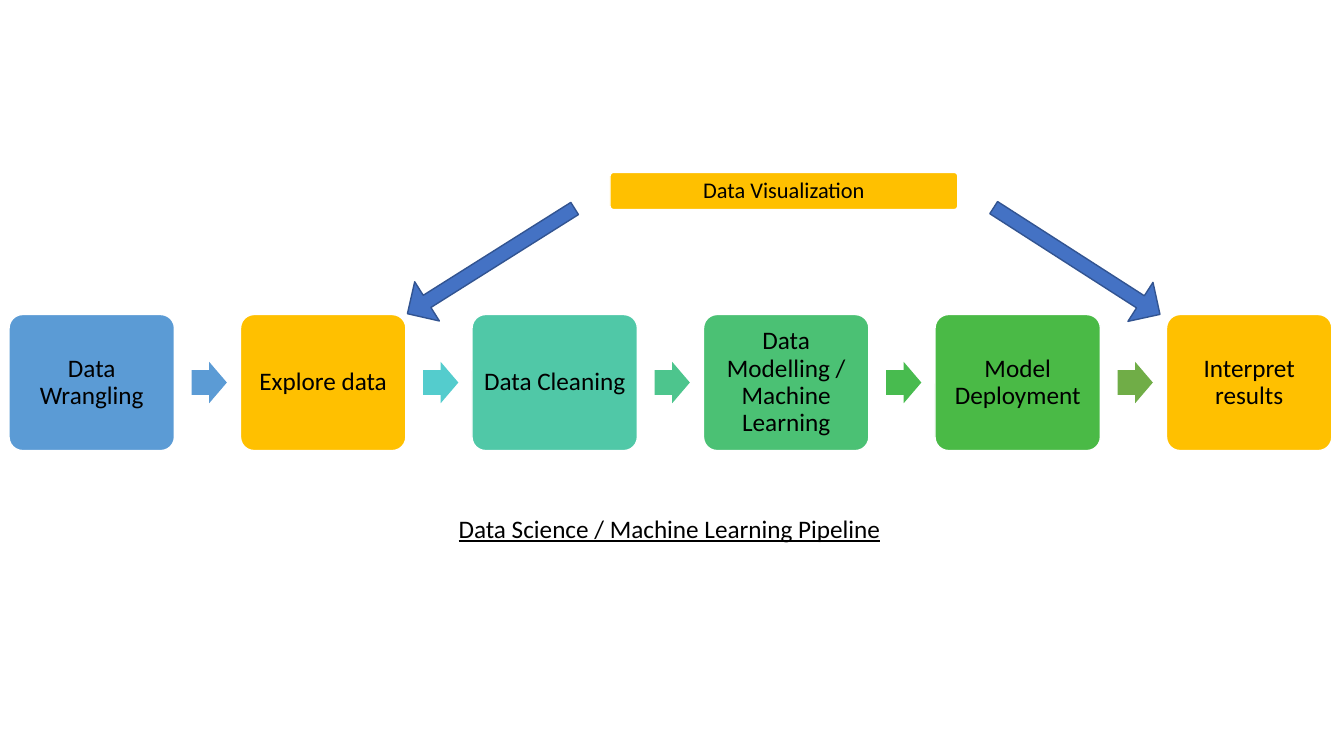
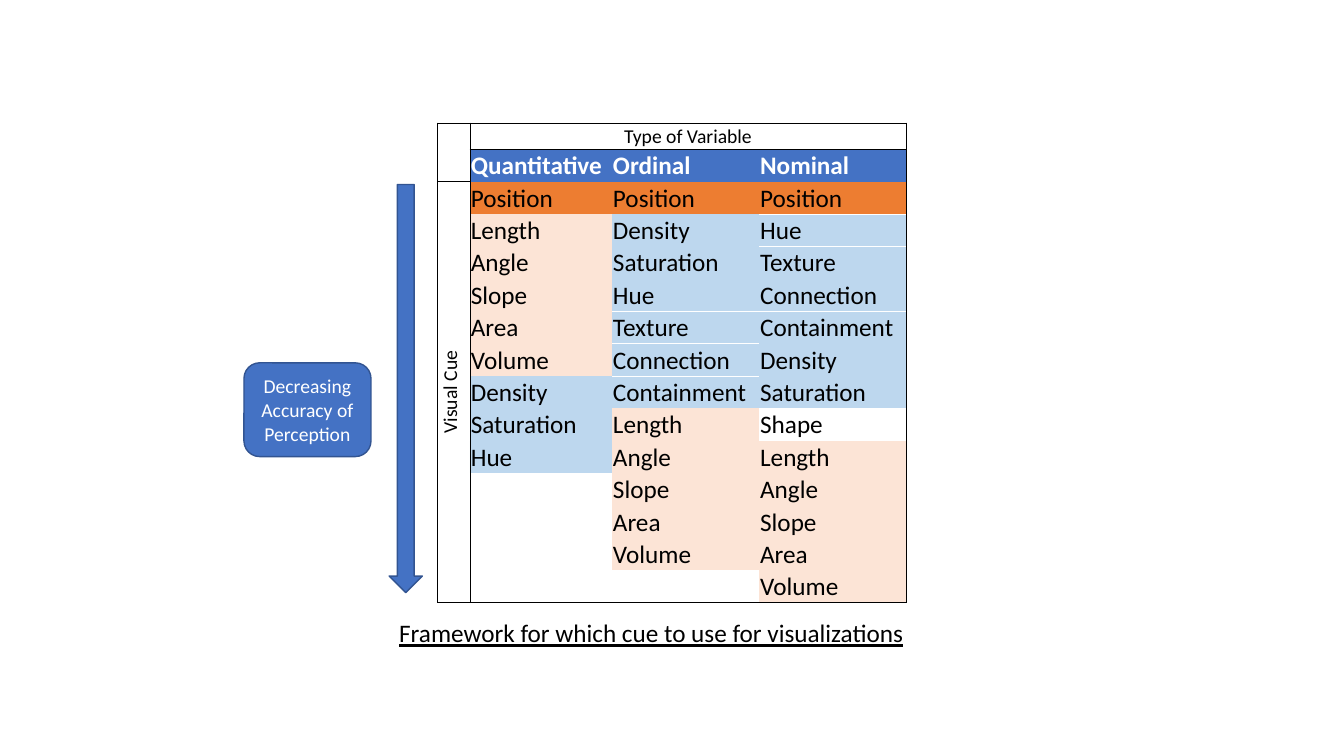
from lxml import etree
from pptx import Presentation
from pptx.dml.color import RGBColor
from pptx.enum.dml import MSO_PATTERN
from pptx.enum.shapes import MSO_SHAPE
from pptx.enum.text import MSO_ANCHOR, MSO_AUTO_SIZE, PP_ALIGN
from pptx.oxml.ns import qn
from pptx.util import Inches, Pt

ROUNDED, PROCESS = MSO_SHAPE.ROUNDED_RECTANGLE, MSO_SHAPE.FLOWCHART_ALTERNATE_PROCESS
RIGHT_ARROW, DOWN_ARROW = MSO_SHAPE.RIGHT_ARROW, MSO_SHAPE.DOWN_ARROW
LEFT, CENTER = PP_ALIGN.LEFT, PP_ALIGN.CENTER
MIDDLE, BOTTOM = MSO_ANCHOR.MIDDLE, MSO_ANCHOR.BOTTOM
FIT_SHAPE = MSO_AUTO_SIZE.SHAPE_TO_FIT_TEXT
DARK_HORIZONTAL = MSO_PATTERN.DARK_HORIZONTAL

THEME = {
    "font": "Calibri", "body": Pt(18), "label": Pt(16), "small": Pt(14),
    "black": "000000", "white": "FFFFFF", "blue": "4472C4", "outline": "325491",
    "gold": "FFC000", "orange": "ED7D31", "peach": "FCE4D6", "pale blue": "BDD7EE",
}


def write_text(frame, text, size="body", color="black", align=CENTER, spacing=1.0, **font_format):
    paragraph = frame.paragraphs[0]
    paragraph.alignment, paragraph.line_spacing = align, spacing
    run = paragraph.add_run()
    run.text = text
    run.font.color.rgb = RGBColor.from_string(THEME[color])
    for name, value in {"name": THEME["font"], "size": THEME[size], **font_format}.items():
        setattr(run.font, name, value)


def add_block(slide, kind, box, fill, outline=None, adjustments=(), rotation=0, inset=None):
    shape = slide.shapes.add_shape(kind, *map(Inches, box))
    shape.shadow.inherit = False
    shape.rotation = rotation
    shape.fill.solid()
    shape.fill.fore_color.rgb = RGBColor.from_string(fill)
    if outline:
        shape.line.color.rgb = RGBColor.from_string(outline)
        shape.line.width = Pt(1)
    else:
        shape.line.fill.background()
    for index, value in enumerate(adjustments):
        shape.adjustments[index] = value
    frame = shape.text_frame
    frame.word_wrap, frame.vertical_anchor = True, MIDDLE
    if inset is not None:
        for side in ("left", "right", "top", "bottom"):
            setattr(frame, f"margin_{side}", Inches(inset))
    return shape


presentation = Presentation()
presentation.slide_width, presentation.slide_height = Inches(13.33), Inches(7.5)

# Both slides carry an underlined caption
captions = [
    ("Data Science / Machine Learning Pipeline", (4.45, 5.04, 4.44, 0.4)),
    ("Framework for which cue to use for visualizations", (3.86, 6.08, 5.35, 0.4)),
]
slides = []
for text, box in captions:
    slide = presentation.slides.add_slide(presentation.slide_layouts[6])
    frame = slide.shapes.add_textbox(*map(Inches, box)).text_frame
    frame.word_wrap, frame.auto_size = False, FIT_SHAPE
    write_text(frame, text, align=LEFT, underline=True)
    slides.append(slide)
pipeline_slide, framework_slide = slides

# Pipeline: steps, each followed by an arrow
steps = [
    ("Data Wrangling", "5B9BD5", "5B9BD5"),
    ("Explore data", THEME["gold"], "54CCCD"),
    ("Data Cleaning", "50C8A7", "4DC58D"),
    ("Data Modelling / Machine Learning", "4BC174", "48BB4F"),
    ("Model Deployment", "4ABA46", "70AD47"),
    ("Interpret results", THEME["gold"], None),
]
first_left, last_left = 0.09, 11.57
pitch = (last_left - first_left) / (len(steps) - 1)
for index, (text, step_fill, arrow_fill) in enumerate(steps):
    left = first_left + index * pitch
    step = add_block(pipeline_slide, ROUNDED, (left, 3.12, 1.64, 1.35), step_fill,
                     THEME["white"], [0.1], inset=0.07)
    write_text(step.text_frame, text, spacing=0.9)
    if arrow_fill:
        add_block(pipeline_slide, RIGHT_ARROW, (left + 1.81, 3.59, 0.35, 0.41), arrow_fill,
                  adjustments=[0.6, 0.5])

# Visualization bar and its two slanted arrows
bar = add_block(pipeline_slide, ROUNDED, (6.05, 1.71, 3.45, 0.37), THEME["gold"],
                THEME["white"], [0.1], inset=0.07)
write_text(bar.text_frame, "Data Visualization", "label", spacing=0.9)
for left, rotation in ((3.89, 147.8), (9.7, 32.7)):
    add_block(pipeline_slide, RIGHT_ARROW, (left, 2.36, 1.96, 0.46), THEME["blue"],
              THEME["outline"], [0.31, 0.5], rotation)

# Framework: accuracy label and arrow
accuracy = add_block(framework_slide, PROCESS, (2.42, 3.6, 1.26, 0.93), THEME["blue"],
                     THEME["outline"])
write_text(accuracy.text_frame, "Decreasing Accuracy of Perception", "small", "white")
add_block(framework_slide, DOWN_ARROW, (3.86, 1.83, 0.33, 4.05), THEME["blue"], THEME["outline"])

# Framework: cues ranked for each type of variable
magnitudes = ["Length", "Angle", "Slope", "Area", "Volume"]
rankings = {
    "Quantitative": ["Position", *magnitudes, "Density", "Saturation", "Hue"],
    "Ordinal": ["Position", "Density", "Saturation", "Hue", "Texture", "Connection",
                "Containment", *magnitudes],
    "Nominal": ["Position", "Hue", "Texture", "Connection", "Containment", "Density",
                "Saturation", "Shape", *magnitudes],
}
cue_fills = {
    "Position": "orange",
    **dict.fromkeys(magnitudes, "peach"),
    **dict.fromkeys(["Density", "Saturation"], "pale blue"),
    **dict.fromkeys(rankings, "blue"),
}
striped_cues = {"Hue", "Texture", "Connection", "Containment"}
column_widths = [0.32, 1.41, 1.46, 1.46]
header_height, table_height = 0.26, 4.76
row_count = 2 + max(map(len, rankings.values()))
last_row, last_column = row_count - 1, len(column_widths) - 1

table = framework_slide.shapes.add_table(
    row_count, len(column_widths), Inches(4.34), Inches(1.22),
    Inches(sum(column_widths)), Inches(table_height)).table
table.first_row = table.horz_banding = False
for column, width in zip(table.columns, column_widths):
    column.width = Inches(width)
for row in table.rows:
    row.height = Inches((table_height - header_height) / last_row)
table.rows[0].height = Inches(header_height)

texts = {(0, 1): "Type of Variable", (2, 0): "Visual Cue"}
for column, (variable, cues) in enumerate(rankings.items(), start=1):
    for row, text in enumerate([variable, *cues], start=1):
        texts[row, column] = text

cell_format = {"margin_left": Inches(0.01), "margin_right": Inches(0.01),
               "margin_top": Inches(0.01), "margin_bottom": 0}
for row in range(row_count):
    for column in range(len(column_widths)):
        cell = table.cell(row, column)
        text = texts.get((row, column))
        is_title = row == 0 or column == 0
        for name, value in cell_format.items():
            setattr(cell, name, value)
        cell.vertical_anchor = MIDDLE if column == 0 else BOTTOM

        # Text and fill
        if text and is_title:
            write_text(cell.text_frame, text, "small")
        elif text:
            write_text(cell.text_frame, text, color="white" if row == 1 else "black",
                       align=LEFT, bold=row == 1)
        else:
            end_format = cell.text_frame.paragraphs[0]._p.get_or_add_endParaRPr()
            end_format.set("sz", str(int(THEME["small"].pt * 100)))
        if text in striped_cues:
            cell.fill.patterned()
            cell.fill.pattern = DARK_HORIZONTAL
            cell.fill.fore_color.rgb = RGBColor.from_string(THEME["pale blue"])
            cell.fill.back_color.rgb = RGBColor.from_string(THEME["white"])
        elif text in cue_fills:
            cell.fill.solid()
            cell.fill.fore_color.rgb = RGBColor.from_string(THEME[cue_fills[text]])
        else:
            cell.fill.background()

        # Borders frame the table, its title row and its title column
        borders = {
            "lnL": column <= 1,
            "lnR": column in (0, last_column) or row == 0,
            "lnT": row == 0 or (row == 1 and column > 0) or (row == 2 and column == 0),
            "lnB": (row == last_row or (row == 0 and column > 0)
                    or (row in (1, 2) and column == 0)),
        }
        properties = cell._tc.get_or_add_tcPr()
        for index, (tag, visible) in enumerate(borders.items()):
            line = etree.Element(qn(f"a:{tag}"), w=str(Pt(0.5)))
            fill = etree.SubElement(line, qn("a:solidFill" if visible else "a:noFill"))
            if visible:
                etree.SubElement(fill, qn("a:srgbClr"), val=THEME["black"])
            properties.insert(index, line)

table.cell(0, 1).merge(table.cell(0, last_column))
table.cell(2, 0).merge(table.cell(last_row, 0))
table.cell(2, 0)._tc.get_or_add_tcPr().set("vert", "vert270")

presentation.save("out.pptx")
